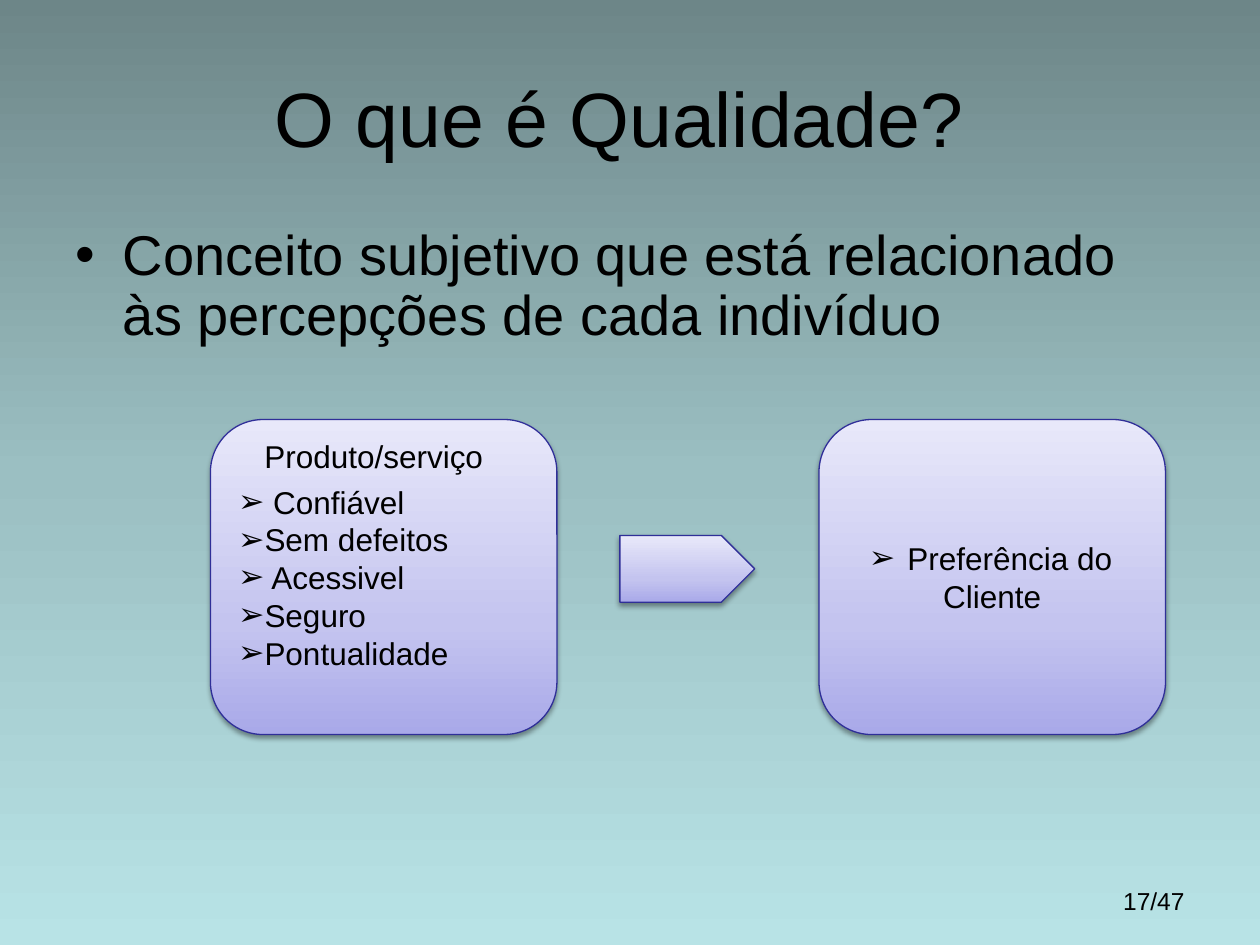
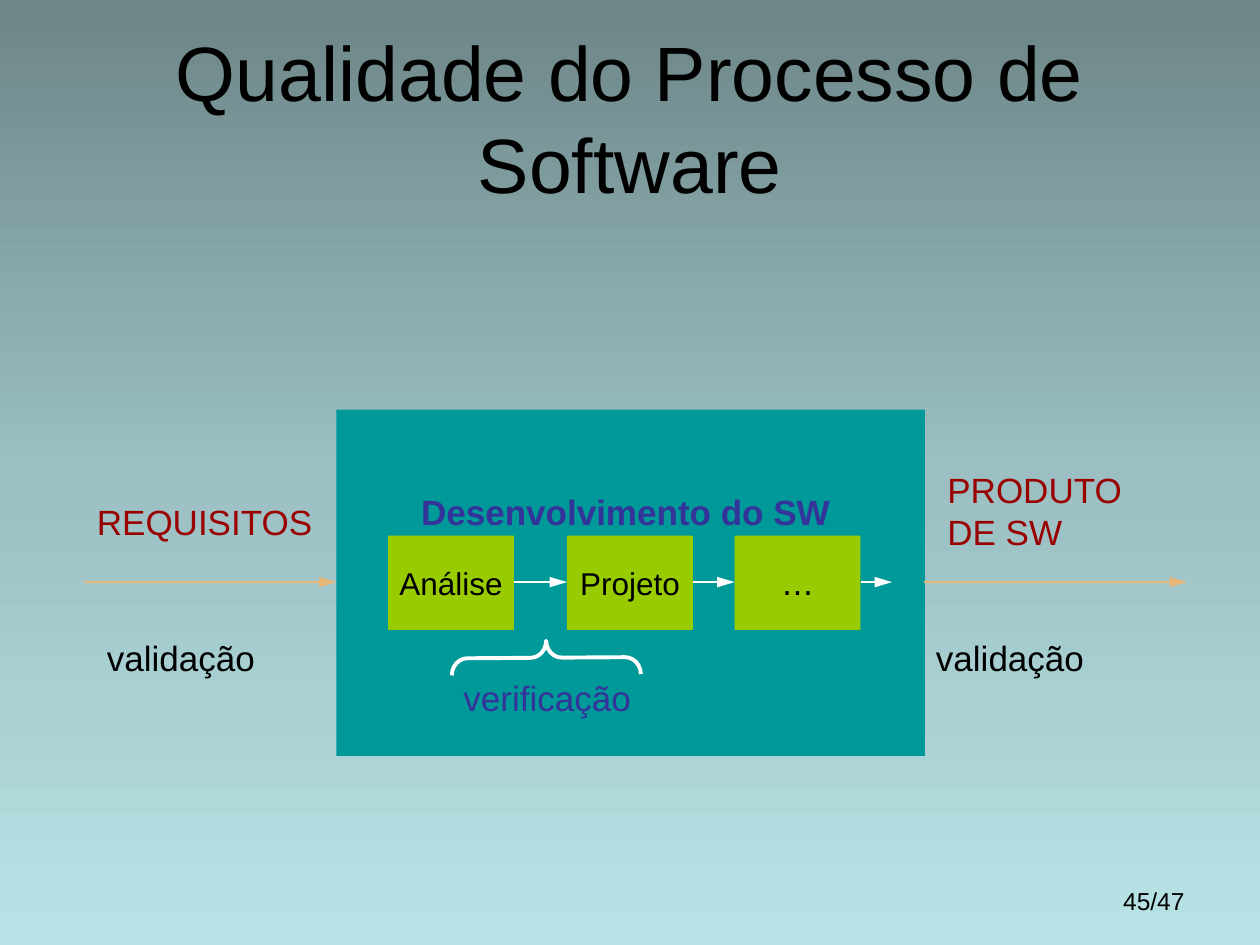
from lxml.etree import SubElement
from pptx import Presentation
from pptx.dml.color import RGBColor
from pptx.enum.shapes import MSO_CONNECTOR, MSO_SHAPE
from pptx.enum.text import MSO_ANCHOR, PP_ALIGN
from pptx.oxml.ns import qn
from pptx.util import Inches, Pt

FONT = "Arial"
SYMBOL_FONT = "DejaVu Sans"
BLACK, WHITE = "000000", "FFFFFF"
INDIGO, LILAC_EDGE = "333399", "2F2F98"
TEAL, GREEN, RED, ORANGE = "009999", "99CC00", "990000", "E7B777"
SKY = [(0, "6D8688"), (50, "9BBFC2"), (100, "B8E3E6")]
LILAC = [(0, "A9A9E9"), (35, "C4C4EF"), (100, "E8E8FA")]
SLIDE_COUNT = 47
FLOW_Y = 4.62


def rgb(value):
    return RGBColor.from_string(value)


def add_xml(parent, tag, **attributes):
    return SubElement(parent, qn(tag), attributes)


def paint_gradient(fill, owner, stops, angle):
    """Fill with any number of stops; the angle runs counter-clockwise."""
    fill.gradient()
    fill.gradient_angle = angle
    stop_list = next(owner.iter(qn("a:gsLst")))
    for old_stop in list(stop_list):
        stop_list.remove(old_stop)
    for position, color in stops:
        stop = add_xml(stop_list, "a:gs", pos=str(position * 1000))
        add_xml(stop, "a:srgbClr", val=color)


def write(frame, lines, size, color=BLACK, align=PP_ALIGN.LEFT, font=FONT,
          bold=False):
    frame.text = "\n".join(lines)
    for paragraph in frame.paragraphs:
        paragraph.alignment = align
        paragraph.font.name = font
        paragraph.font.size = Pt(size)
        paragraph.font.bold = bold
        paragraph.font.color.rgb = rgb(color)


def place(shape, left, top, width, height):
    shape.left, shape.top = Inches(left), Inches(top)
    shape.width, shape.height = Inches(width), Inches(height)


def add_label(slide, text, left, top, width, height, size=20, color=BLACK,
              align=PP_ALIGN.LEFT, wrap=True):
    label = slide.shapes.add_textbox(
        Inches(left), Inches(top), Inches(width), Inches(height))
    label.text_frame.word_wrap = wrap
    write(label.text_frame, [text], size, color, align)


def add_shape(slide, kind, left, top, width, height):
    shape = slide.shapes.add_shape(
        kind, Inches(left), Inches(top), Inches(width), Inches(height))
    shape.shadow.inherit = False
    return shape


def add_block(slide, color, left, top, width, height):
    """Add a flat rectangle without outline whose text does not wrap."""
    block = add_shape(slide, MSO_SHAPE.RECTANGLE, left, top, width, height)
    block.fill.solid()
    block.fill.fore_color.rgb = rgb(color)
    block.line.fill.background()
    block.text_frame.word_wrap = False
    block.text_frame.vertical_anchor = MSO_ANCHOR.MIDDLE
    return block


def add_lilac_shape(slide, kind, left, top, width, height):
    shape = add_shape(slide, kind, left, top, width, height)
    paint_gradient(shape.fill, shape.element, LILAC, 90)
    shape.line.color.rgb = rgb(LILAC_EDGE)
    shape.line.width = Pt(0.75)
    effects = next(shape.element.iter(qn("a:effectLst")))
    shadow = add_xml(effects, "a:outerShdw", blurRad=str(Pt(3.1)),
                     dist=str(Pt(1.6)), dir="5400000", rotWithShape="0")
    shadow_color = add_xml(shadow, "a:srgbClr", val=BLACK)
    add_xml(shadow_color, "a:alpha", val="38000")
    return shape


def add_bullet_card(slide, left, lines, align=PP_ALIGN.LEFT):
    card = add_lilac_shape(
        slide, MSO_SHAPE.ROUNDED_RECTANGLE, left, 3.33, 2.75, 2.5)
    frame = card.text_frame
    frame.vertical_anchor = MSO_ANCHOR.MIDDLE
    write(frame, lines, 18, align=align)
    for properties in list(card.element.iter(qn("a:pPr"))):
        bullet_font = properties.makeelement(
            qn("a:buFont"), {"typeface": SYMBOL_FONT})
        bullet = properties.makeelement(qn("a:buChar"), {"char": "➢"})
        properties.insert(0, bullet_font)
        properties.insert(1, bullet)


def add_flow_arrow(slide, start, end, color):
    arrow = slide.shapes.add_connector(
        MSO_CONNECTOR.STRAIGHT, Inches(start), Inches(FLOW_Y),
        Inches(end), Inches(FLOW_Y))
    arrow.line.color.rgb = rgb(color)
    arrow.line.width = Pt(1)
    add_xml(next(arrow.element.iter(qn("a:ln"))), "a:tailEnd",
            type="triangle", w="med", len="lg")
    add_xml(arrow.element.spPr, "a:effectLst")


def add_slide(deck, layout, title, number):
    slide = deck.slides.add_slide(deck.slide_layouts[layout])
    heading = slide.shapes.title
    place(heading, 0.5, 0.3, 9, 1.25)
    heading.text_frame.vertical_anchor = MSO_ANCHOR.MIDDLE
    write(heading.text_frame, [title], 44, align=PP_ALIGN.CENTER)
    add_label(slide, f"{number}/{SLIDE_COUNT}", 7.17, 6.98, 2.33, 0.52,
              size=14, align=PP_ALIGN.RIGHT)
    return slide


def build_quality_concept(deck):
    slide = add_slide(deck, 1, "O que é Qualidade? ", 17)
    concept = slide.placeholders[1]
    place(concept, 0.5, 1.75, 9, 4.95)
    write(concept.text_frame, ["Conceito subjetivo que está relacionado "
                               "às percepções de cada indivíduo"], 32)
    concept.text_frame.paragraphs[0].line_spacing = 0.9

    add_bullet_card(slide, 1.67, [" Confiável", "Sem defeitos", " Acessivel",
                                  "Seguro", "Pontualidade"])
    add_label(slide, "Produto/serviço", 2, 3.42, 1.96, 0.4, size=18,
              wrap=False)
    add_lilac_shape(slide, MSO_SHAPE.PENTAGON, 4.92, 4.25, 1.07, 0.53)
    add_bullet_card(slide, 6.5, [" Preferência do Cliente"], PP_ALIGN.CENTER)


def build_software_process(deck):
    slide = add_slide(deck, 5, "Qualidade do Processo de Software", 45)

    development = add_block(slide, TEAL, 2.67, 3.25, 4.67, 2.75)
    development.text_frame.vertical_anchor = MSO_ANCHOR.TOP
    development.text_frame.margin_top = Inches(0.64)
    write(development.text_frame, ["Desenvolvimento do SW "], 20, INDIGO,
          PP_ALIGN.CENTER, bold=True)

    for text, left, font in [("Análise", 3.08, FONT), ("Projeto", 4.5, FONT),
                             ("…", 5.83, SYMBOL_FONT)]:
        stage = add_block(slide, GREEN, left, 4.25, 1, 0.75)
        write(stage.text_frame, [text], 18, align=PP_ALIGN.CENTER, font=font)

    for start, end, color in [(0.67, 2.67, ORANGE), (7.33, 9.42, ORANGE),
                              (4.08, 4.5, WHITE), (5.5, 5.83, WHITE),
                              (6.83, 7.08, WHITE)]:
        add_flow_arrow(slide, start, end, color)

    verification = add_shape(
        slide, MSO_SHAPE.LEFT_BRACE, 4.2, 4.47, 0.27, 1.5)
    verification.rotation = 89.6
    verification.adjustments[0] = 0.46
    verification.fill.background()
    verification.line.color.rgb = rgb(WHITE)
    verification.line.width = Pt(2.25)

    add_label(slide, "REQUISITOS", 0.67, 3.92, 1.92, 0.43, color=RED)
    add_label(slide, "PRODUTO DE SW", 7.42, 3.67, 1.92, 0.77, color=RED)
    add_label(slide, "verificação", 3.58, 5.32, 1.58, 0.43, color=INDIGO)
    for left in (0.75, 7.33):
        add_label(slide, "validação", left, 5, 2.08, 0.43)


def main():
    deck = Presentation()
    deck.slide_width, deck.slide_height = Inches(10), Inches(7.5)
    master = deck.slide_master
    paint_gradient(master.background.fill, master.element, SKY, 270)
    build_quality_concept(deck)
    build_software_process(deck)
    deck.save("out.pptx")


if __name__ == "__main__":
    main()
